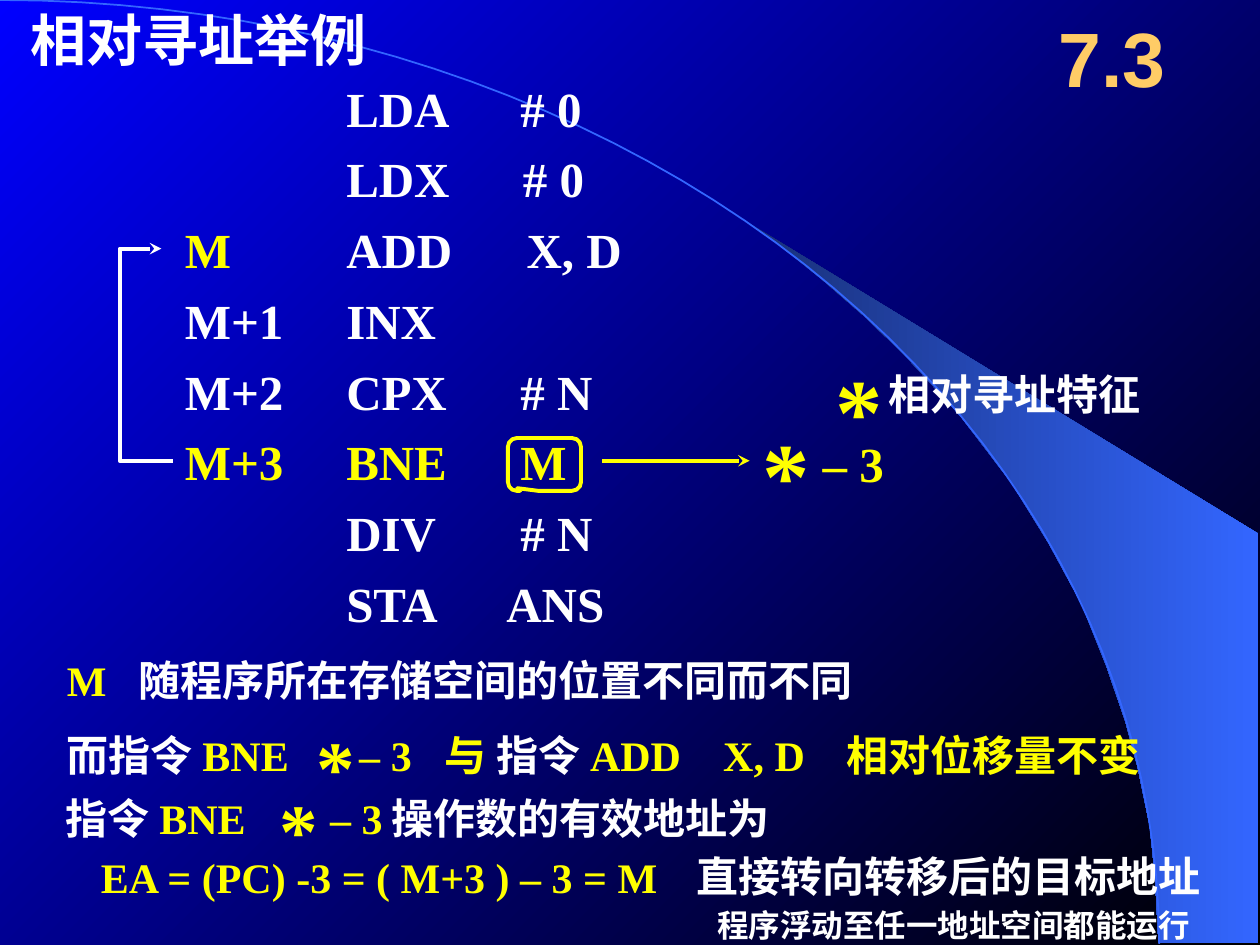
from math import cos, radians, sin

from lxml import etree
from pptx import Presentation
from pptx.dml.color import RGBColor
from pptx.enum.shapes import MSO_CONNECTOR, MSO_SHAPE
from pptx.enum.text import MSO_ANCHOR, MSO_AUTO_SIZE, PP_ALIGN
from pptx.oxml.ns import qn
from pptx.util import Pt

STRAIGHT = MSO_CONNECTOR.STRAIGHT
CALLOUT = MSO_SHAPE.ROUNDED_RECTANGULAR_CALLOUT
TOP, MIDDLE = MSO_ANCHOR.TOP, MSO_ANCHOR.MIDDLE
LEFT, CENTER = PP_ALIGN.LEFT, PP_ALIGN.CENTER
FIXED = MSO_AUTO_SIZE.NONE

WHITE, YELLOW, GOLD = "FFFFFF", "FFFF00", "FFCC66"
BLUE, NAVY = "3366FF", "182F76"
WEDGE = [(662, 539), (719, 539), (719, 305), (424, 125), (449, 143),
         (470, 160), (493, 180), (516, 202), (549, 238), (578, 276),
         (599, 310), (618, 345), (632, 380), (643, 412), (650, 438),
         (657, 472), (660, 501)]
# label, label colour, operation, operand, operand stop
ROWS = [("", WHITE, "LDA", "# 0", 99.5), ("", WHITE, "LDX", "# 0", 101),
        ("M", YELLOW, "ADD", "X, D", 103), ("M+1", WHITE, "INX", "", 0),
        ("M+2", WHITE, "CPX", "# N", 99.5), ("M+3", YELLOW, "BNE", "M", 99.5),
        ("", WHITE, "DIV", "# N", 99.5), ("", WHITE, "STA", "ANS", 91.5)]
PITCH, MID = 40.4, 20.1
TARGET, BRANCH = 2, 5


def rgb(code):
    return RGBColor.from_string(code)


def blend(fill, start, end, angle):
    fill.gradient()
    fill.gradient_angle = angle
    for stop, code in zip(fill.gradient_stops, (start, end)):
        stop.color.rgb = rgb(code)


def stroke(shape, color, width, arrow=False):
    shape.line.color.rgb = rgb(color)
    shape.line.width = Pt(width)
    if arrow:
        line = shape.line._get_or_add_ln()
        etree.SubElement(line, qn("a:tailEnd"), type="stealth")


def write(shape, *runs, size=24, color=WHITE, font="Times New Roman",
          align=LEFT, anchor=TOP, wrap=True, inset=3.6, stops=()):
    """Fill a shape with runs, each a text or a (text, colour) pair."""
    frame = shape.text_frame
    frame.auto_size = FIXED
    frame.word_wrap = wrap
    frame.vertical_anchor = anchor
    frame.margin_left = frame.margin_right = Pt(7.2)
    frame.margin_top, frame.margin_bottom = Pt(inset), Pt(3.6)
    para = frame.paragraphs[0]
    para.alignment = align
    if stops:
        tabs = etree.SubElement(para._p.get_or_add_pPr(), qn("a:tabLst"))
        for stop in stops:
            etree.SubElement(tabs, qn("a:tab"), pos=str(Pt(stop)), algn="l")
    for item in runs:
        text, shade = (item, color) if isinstance(item, str) else item
        run = para.add_run()
        run.text = text
        run.font.name, run.font.size, run.font.bold = font, Pt(size), True
        run.font.color.rgb = rgb(shade)


def put(slide, box, *runs, **style):
    """Add a text box at (left, top, width, height)."""
    write(slide.shapes.add_textbox(*map(Pt, box)), *runs, **style)


def trace(slide, points, close):
    """Draw an outline through the points."""
    pen = slide.shapes.build_freeform(Pt(points[0][0]), Pt(points[0][1]))
    pen.add_line_segments([(Pt(x), Pt(y)) for x, y in points[1:]], close)
    shape = pen.convert_to_shape()
    shape.shadow.inherit = False
    return shape


def backdrop(slide, width, height):
    blend(slide.background.fill, "0000FF", "000000", 315)
    wedge = trace(slide, WEDGE, True)
    blend(wedge.fill, NAVY, BLUE, 0)
    wedge.line.fill.background()
    turns = [radians(step) for step in range(0, 91, 2)]
    arc = trace(slide, [(width * sin(t), height * (1 - cos(t)))
                        for t in turns], False)
    arc.fill.background()
    stroke(arc, BLUE, 1)


def head(slide):
    title = slide.shapes.title
    slide.shapes._spTree.append(title._element)
    title.left, title.top = Pt(10), Pt(-0.7)
    title.width, title.height = Pt(220), Pt(46)
    write(title, "相对寻址举例", size=32)
    put(slide, (590.4, -0.7, 90, 66), "7.3", size=44, color=GOLD,
        font="Arial", align=CENTER, anchor=MIDDLE)


def star(slide, left, top, size):
    put(slide, (left, top, 54, size * 1.33), "*", size=size, color=YELLOW)


def shift(slide, left, top, gap, drop, big, size):
    """Write the offset: a star, then minus three."""
    put(slide, (left + gap, top + drop, 49.7, size * 1.15 + 11), "– 3",
        size=size, color=YELLOW, inset=6.5)
    star(slide, left, top, big)


def code(slide, left, top):
    """List the program, its loop back and the operand's meaning."""
    for row, (label, shade, name, operand, stop) in enumerate(ROWS):
        y = top + row * PITCH
        if label:
            put(slide, (left + 30.2, y, 70.6, 41), label, size=28,
                color=shade, wrap=False)
        text = f"{name}\t{operand}" if operand else name
        put(slide, (left + 122.4, y, 175 if operand else 66, 41), text,
            size=28, color=YELLOW if row == BRANCH else WHITE,
            stops=[stop] if operand else ())
    back, goal = (top + row * PITCH + MID for row in (BRANCH, TARGET))
    loop = trace(slide, [(left + 30.2, back), (left, back), (left, goal),
                         (left + 23.8, goal)], False)
    loop.fill.background()
    stroke(loop, WHITE, 2.25, True)

    arrow = slide.shapes.add_connector(STRAIGHT, Pt(left + 275.8), Pt(back),
                                       Pt(left + 360), Pt(back))
    stroke(arrow, YELLOW, 2.25, True)
    etree.SubElement(arrow._element.spPr, qn("a:effectLst"))
    shift(slide, left + 360, back - 29.5, 34.6, 7.2, 54, 28)

    frame = slide.shapes.add_shape(CALLOUT, Pt(left + 221.8), Pt(back - 13),
                                   Pt(41.8), Pt(30.2))
    for spot, value in enumerate((-0.37, 0.45, 0.17)):
        frame.adjustments[spot] = value
    frame.shadow.inherit = False
    frame.fill.background()
    stroke(frame, YELLOW, 2.25)


def feature(slide, left, top):
    put(slide, (left + 30.2, top + 10, 174, 36), "相对寻址特征")
    star(slide, left, top, 54)


def notes(slide, left, top):
    """Explain why the relative offset never changes."""
    put(slide, (left, top, 689, 36), ("M\t", YELLOW),
        "随程序所在存储空间的位置不同而不同", stops=[40.7])
    put(slide, (left, top + 43, 689, 36), "而指令 ", ("BNE\t与 ", YELLOW),
        "指令 ", ("ADD\tX, D\t相对位移量不变", YELLOW),
        stops=[216, 375, 445.5])
    shift(slide, left + 142.5, top + 36.7, 24.5, 3.6, 44, 24)
    put(slide, (left - 0.7, top + 79, 123, 36), "指令 ", ("BNE", YELLOW),
        wrap=False)
    put(slide, (left + 185.7, top + 79, 230.4, 36), "操作数的有效地址为",
        wrap=False)
    shift(slide, left + 121.6, top + 72.7, 28.8, 3.6, 44, 24)
    put(slide, (left + 19.4, top + 113, 333.4, 36),
        "EA = (PC) -3 = ( M+3 ) – 3 = M", color=YELLOW, wrap=False)
    put(slide, (left + 360, top + 112.3, 329, 36), "直接转向转移后的目标地址")
    put(slide, (left + 371.5, top + 144, 317.5, 29),
        "程序浮动至任一地址空间都能运行", size=18)


def main():
    deck = Presentation()
    deck.slide_width, deck.slide_height = Pt(720), Pt(540)
    slide = deck.slides.add_slide(deck.slide_layouts[5])
    backdrop(slide, 662.4, 539.3)
    head(slide)
    code(slide, 68.4, 41.2)
    feature(slide, 470.2, 197.3)
    notes(slide, 31.2, 370.3)
    deck.save("out.pptx")


if __name__ == "__main__":
    main()
